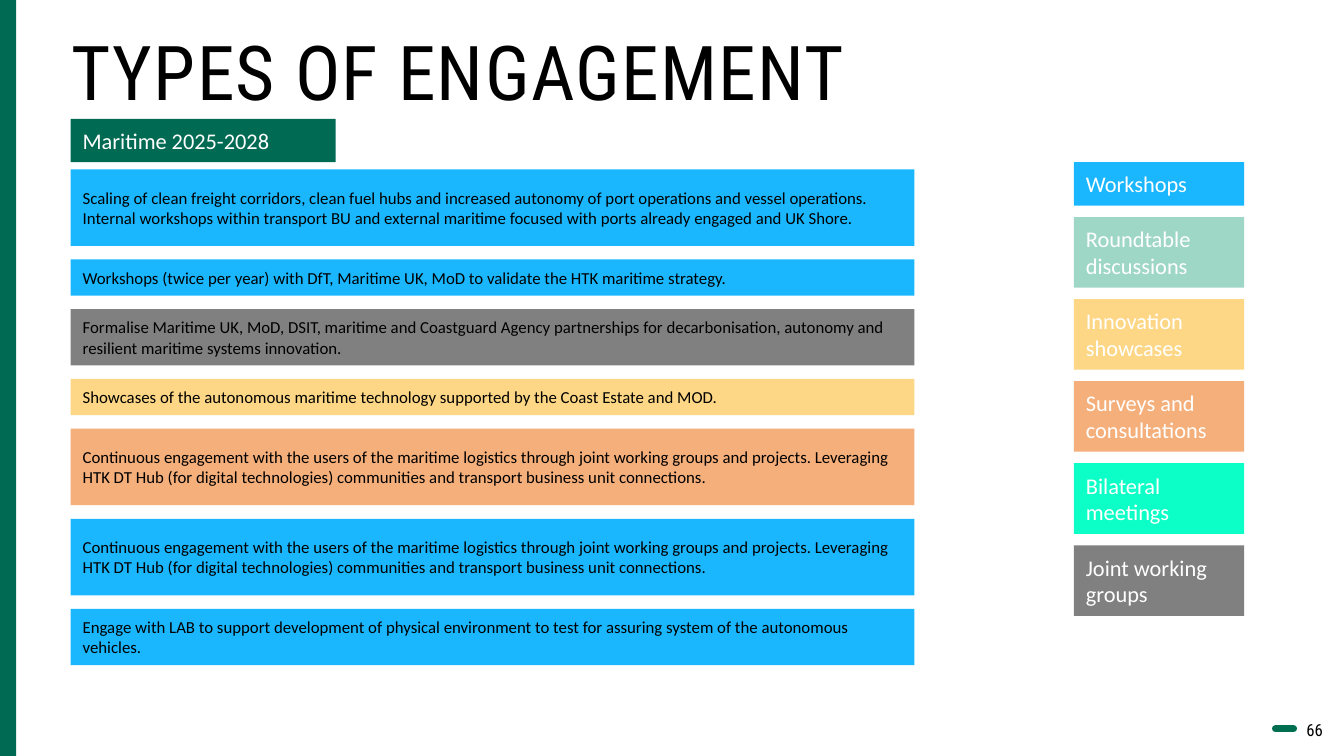
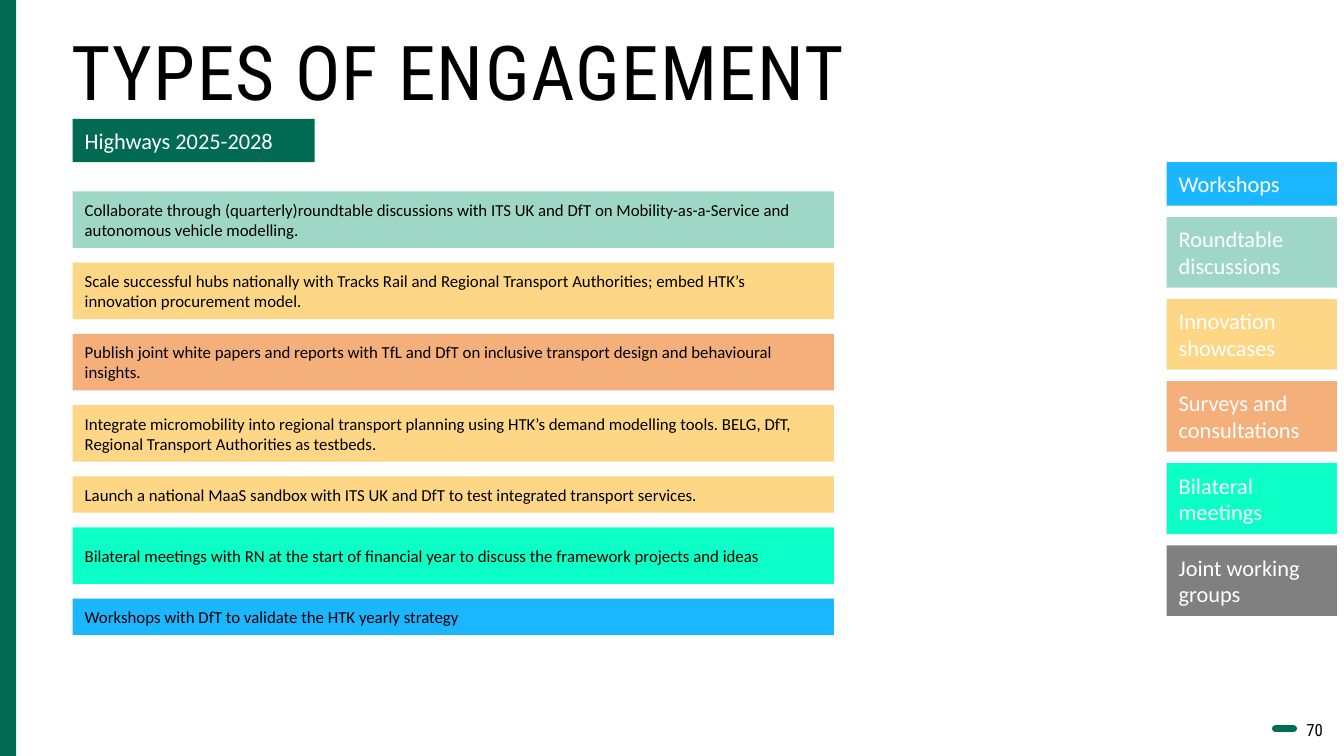
import itertools
from dataclasses import dataclass

import pptx
import pptx.dml.color
import pptx.enum.shapes
import pptx.enum.text
import pptx.oxml
import pptx.oxml.ns
import pptx.util
from pptx.util import Inches

ANCHOR = pptx.enum.text.MSO_ANCHOR
ALIGN = pptx.enum.text.PP_ALIGN


@dataclass(frozen=True)
class Theme:
    green: str = "006A52"
    dash_green: str = "006E51"
    black: str = "000000"
    white: str = "FFFFFF"
    workshop: str = "1AB7FF"
    roundtable: str = "9FD7C7"
    showcase: str = "FDD785"
    survey: str = "F5AF7B"
    bilateral: str = "0DFFC8"
    group: str = "808080"
    title_font: str = "Roboto Condensed"
    body_font: str = "Calibri"
    title_size: int = 54
    label_size: int = 16
    body_size: int = 12


THEME = Theme()
TITLE = "TYPES OF ENGAGEMENT"

# Each bar: text, colour, number of text lines the bar is sized for.
LEGEND = [
    ("Workshops", THEME.workshop, 1),
    ("Roundtable discussions", THEME.roundtable, 2),
    ("Innovation showcases", THEME.showcase, 2),
    ("Surveys and consultations", THEME.survey, 2),
    ("Bilateral meetings", THEME.bilateral, 2),
    ("Joint working groups", THEME.group, 2),
]

LOGISTICS = (
    "Continuous engagement with the users of the maritime logistics through joint working groups "
    "and projects. Leveraging HTK DT Hub (for digital technologies) communities and transport "
    "business unit connections."
)

PAGES = [
    {
        "number": "66",
        "topic": "Maritime 2025-2028",
        "topic_width": 2.63,
        "left": 0.7,
        "width": 8.37,
        "first_top": 1.68,
        "last_top": 6.04,
        "legend_left": 10.65,
        "activities": [
            ("Scaling of clean freight corridors, clean fuel hubs and increased autonomy of port "
             "operations and vessel operations. Internal workshops within transport BU and external "
             "maritime focused with ports already engaged and UK Shore.", THEME.workshop, 3),
            ("Workshops (twice per year) with DfT, Maritime UK, MoD to validate the HTK maritime "
             "strategy.", THEME.workshop, 1),
            ("Formalise Maritime UK, MoD, DSIT, maritime and Coastguard Agency partnerships for "
             "decarbonisation, autonomy and resilient maritime systems innovation.", THEME.group, 2),
            ("Showcases of the autonomous maritime technology supported by the Coast Estate and MOD.",
             THEME.showcase, 1),
            (LOGISTICS, THEME.survey, 3),
            (LOGISTICS, THEME.workshop, 3),
            ("Engage with LAB to support development of physical environment to test for assuring "
             "system of the autonomous vehicles.", THEME.workshop, 2),
        ],
    },
    {
        "number": "70",
        "topic": "Highways 2025-2028",
        "topic_width": 2.4,
        "left": 0.72,
        "width": 7.55,
        "first_top": 1.9,
        "last_top": 5.94,
        "legend_left": 11.57,
        "activities": [
            ("Collaborate through (quarterly)roundtable discussions with ITS UK and DfT on "
             "Mobility-as-a-Service and autonomous vehicle modelling.", THEME.roundtable, 2),
            ("Scale successful hubs nationally with Tracks Rail and Regional Transport Authorities; "
             "embed HTK’s innovation procurement model.", THEME.showcase, 2),
            ("Publish joint white papers and reports with TfL and DfT on inclusive transport design "
             "and behavioural insights.", THEME.survey, 2),
            ("Integrate micromobility into regional transport planning using HTK’s demand modelling "
             "tools. BELG, DfT, Regional Transport Authorities as testbeds.", THEME.showcase, 2),
            ("Launch a national MaaS sandbox with ITS UK and DfT to test integrated transport "
             "services.", THEME.showcase, 1),
            ("Bilateral meetings with RN at the start of financial year to discuss the framework "
             "projects and ideas", THEME.bilateral, 2),
            ("Workshops with DfT to validate the HTK yearly strategy", THEME.workshop, 1),
        ],
    },
]

PAD_X, PAD_Y = 0.12, 0.08
BODY_LINE, LABEL_LINE = 0.2, 0.27
LEGEND_WIDTH, LEGEND_FIRST, LEGEND_LAST = 1.69, 1.61, 5.41


def rgb(value):
    return pptx.dml.color.RGBColor.from_string(value)


def bar_height(lines, line_height):
    return 2 * PAD_Y + lines * line_height


def write(shape, text, *, size, color, font=THEME.body_font, align=ALIGN.LEFT, anchor=ANCHOR.TOP,
          inset=(PAD_X, PAD_Y), line_spacing=None, tracking=None):
    frame = shape.text_frame
    frame.word_wrap = True
    frame.vertical_anchor = anchor
    frame.margin_left = frame.margin_right = Inches(inset[0])
    frame.margin_top = frame.margin_bottom = Inches(inset[1])
    para = frame.paragraphs[0]
    para.alignment = align
    if line_spacing:
        para.line_spacing = line_spacing
    span = para.add_run()
    span.text = text
    span.font.name = font
    span.font.size = pptx.util.Pt(size)
    span.font.color.rgb = rgb(color)
    if tracking:
        span.font._element.set("spc", str(tracking * 100))


def add_box(page, left, top, width, height, fill):
    box = page.shapes.add_shape(pptx.enum.shapes.MSO_SHAPE.RECTANGLE, Inches(left), Inches(top),
                                Inches(width), Inches(height))
    box.shadow.inherit = False
    box.fill.solid()
    box.fill.fore_color.rgb = rgb(fill)
    box.line.fill.background()
    return box


def add_bar(page, left, top, width, height, fill, text, size, color):
    box = add_box(page, left, top, width, height, fill)
    write(box, text, size=size, color=color, anchor=ANCHOR.MIDDLE)


def add_stack(page, bars, left, width, first_top, last_top, line_height, size, color):
    """Stack bars with equal gaps so that the last one starts at last_top."""
    heights = [bar_height(lines, line_height) for _, _, lines in bars]
    gap = (last_top - first_top - sum(heights[:-1])) / (len(bars) - 1)
    tops = itertools.accumulate((height + gap for height in heights[:-1]), initial=first_top)
    for (text, fill, _), top, height in zip(bars, tops, heights):
        add_bar(page, left, top, width, height, fill, text, size, color)


def add_dash(page):
    dash = page.shapes.add_connector(pptx.enum.shapes.MSO_CONNECTOR.STRAIGHT, Inches(12.83),
                                     Inches(7.23), Inches(12.65), Inches(7.23))
    dash.line.color.rgb = rgb(THEME.dash_green)
    dash.line.width = pptx.util.Pt(5)
    dash.line._get_or_add_ln().set("cap", "rnd")
    dash._element.spPr.append(pptx.oxml.parse_xml(
        f"<a:effectLst {pptx.oxml.ns.nsdecls('a')}/>"))


def add_frame(page, number):
    """Draw the side band, page number and title common to every page."""
    add_box(page, 0, 0, 0.16, 7.5, THEME.green)
    number_box = page.shapes.add_textbox(Inches(12.44), Inches(7.09), Inches(0.78), Inches(0.3))
    write(number_box, number, size=THEME.body_size, color=THEME.black, font=THEME.title_font,
          align=ALIGN.RIGHT, inset=(0.1, 0.05))
    add_dash(page)
    title_box = page.shapes.add_textbox(Inches(0.71), Inches(0.39), Inches(11.82), Inches(0.77))
    write(title_box, TITLE, size=THEME.title_size, color=THEME.black, font=THEME.title_font,
          inset=(0, 0), line_spacing=0.85, tracking=1)


def add_page(deck, content):
    page = deck.slides.add_slide(deck.slide_layouts[6])
    add_frame(page, content["number"])
    add_bar(page, content["left"], 1.18, content["topic_width"], bar_height(1, LABEL_LINE),
            THEME.green, content["topic"], THEME.label_size, THEME.white)
    add_stack(page, content["activities"], content["left"], content["width"], content["first_top"],
              content["last_top"], BODY_LINE, THEME.body_size, THEME.black)
    add_stack(page, LEGEND, content["legend_left"], LEGEND_WIDTH, LEGEND_FIRST, LEGEND_LAST,
              LABEL_LINE, THEME.label_size, THEME.white)


def main():
    deck = pptx.Presentation()
    deck.slide_width, deck.slide_height = Inches(13.33), Inches(7.5)
    for content in PAGES:
        add_page(deck, content)
    deck.save("out.pptx")


if __name__ == "__main__":
    main()
